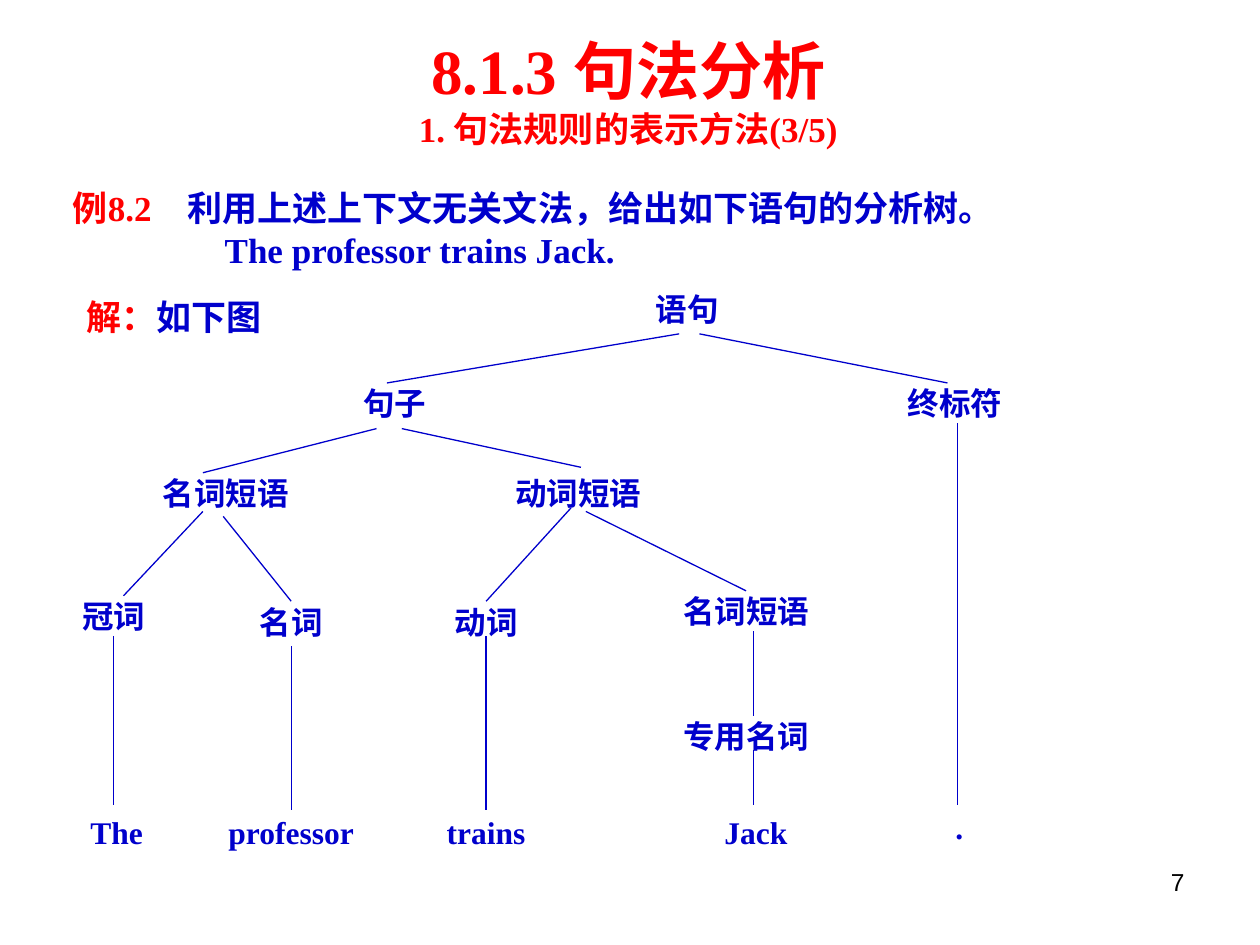
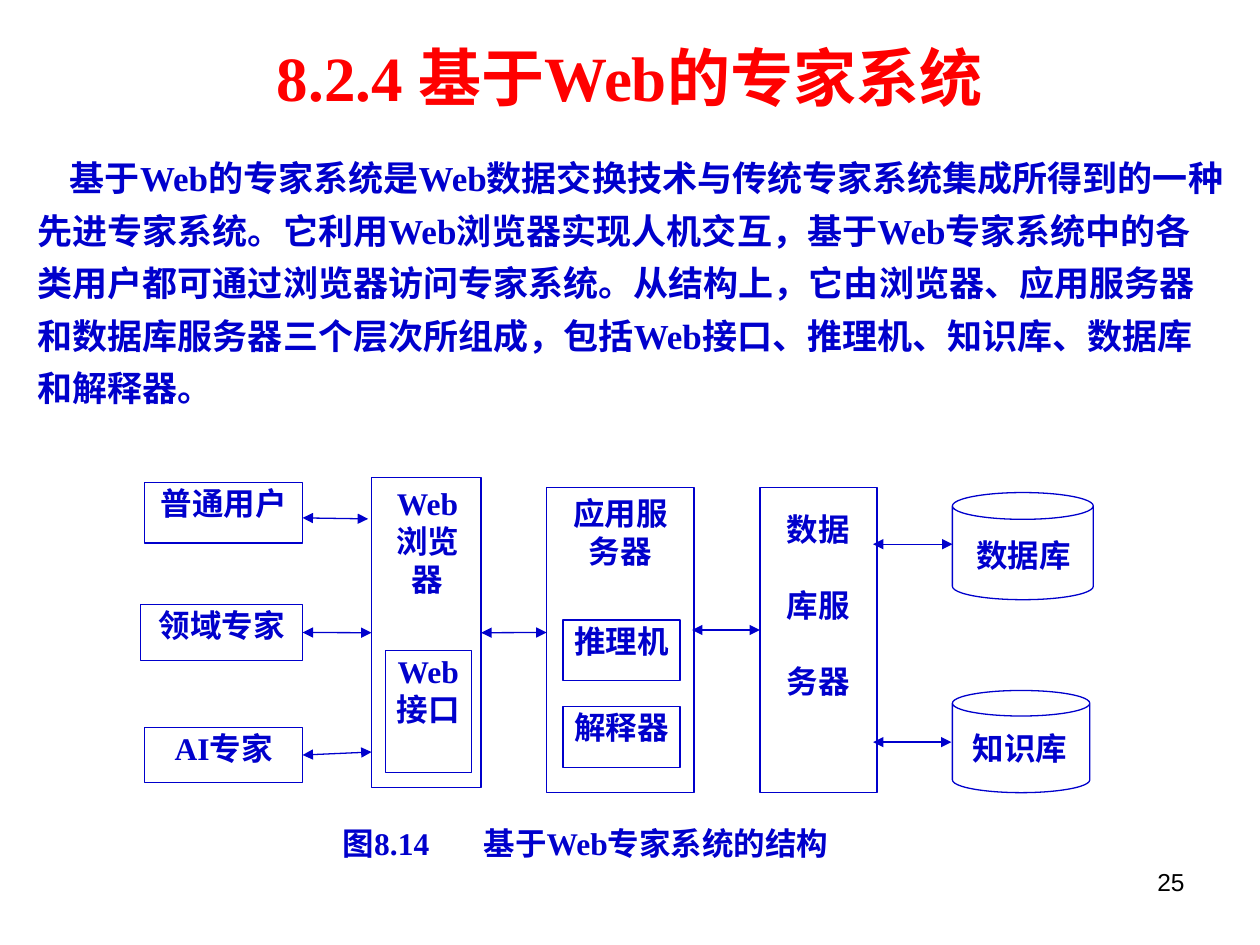
from pptx import Presentation
from pptx.dml.color import RGBColor
from pptx.enum.shapes import MSO_CONNECTOR, MSO_SHAPE
from pptx.enum.text import MSO_ANCHOR, PP_ALIGN
from pptx.oxml.ns import qn
from pptx.util import Cm, Pt
from lxml import etree

RECT, CAN = MSO_SHAPE.RECTANGLE, MSO_SHAPE.CAN
STRAIGHT = MSO_CONNECTOR.STRAIGHT
TOP, MIDDLE = MSO_ANCHOR.TOP, MSO_ANCHOR.MIDDLE
LEFT, CENTER, RIGHT = PP_ALIGN.LEFT, PP_ALIGN.CENTER, PP_ALIGN.RIGHT
JUSTIFY = PP_ALIGN.JUSTIFY

COLORS = {"red": "FF0000", "blue": "0000CC", "black": "000000", "white": "FFFFFF"}
SERIF, SANS = "Times New Roman", "Arial"
WIDE = (0.25, 0.13, 0.25, 0.13)
THIN = (0.05, 0.03, 0.05, 0.03)
NEAR = Cm(0.03)


def color(name):
    return RGBColor.from_string(COLORS[name])


def style(run, size, tint, font=SERIF, bold=True):
    run.font.size = Pt(size)
    run.font.name = font
    run.font.bold = bold
    run.font.color.rgb = color(tint)


def write(shape, words, size=18, tint="blue", align=CENTER, inset=THIN,
          anchor=TOP, font=SERIF, bold=True):
    frame = shape.text_frame
    frame.text = words
    frame.word_wrap = True
    frame.vertical_anchor = anchor
    (frame.margin_left, frame.margin_top,
     frame.margin_right, frame.margin_bottom) = map(Cm, inset)
    for par in frame.paragraphs:
        par.alignment = align
        for run in par.runs:
            style(run, size, tint, font, bold)
    return shape


def label(slide, area, words, **looks):
    return write(slide.shapes.add_textbox(*map(Cm, area)), words, **looks)


def block(slide, area, words="", kind=RECT, edge=True, **looks):
    shape = slide.shapes.add_shape(kind, *map(Cm, area))
    shape.shadow.inherit = False
    shape.fill.solid()
    shape.fill.fore_color.rgb = color("white")
    if edge:
        shape.line.color.rgb = color("blue")
        shape.line.width = Pt(0.75)
    else:
        shape.line.fill.background()
    return write(shape, words, **looks) if words else shape


def sides(box):
    left, top, wide, high = box.left, box.top, box.width, box.height
    return [(left + wide // 2, top), (left, top + high // 2),
            (left + wide // 2, top + high), (left + wide, top + high // 2)]


def link(slide, ends, boxes, arrows=False):
    x1, y1, x2, y2 = map(Cm, ends)
    line = slide.shapes.add_connector(STRAIGHT, x1, y1, x2, y2)
    line.line.color.rgb = color("blue")
    line.line.width = Pt(0.75)
    if arrows:
        stroke = line.element.find(".//" + qn("a:ln"))
        for tip in ("a:headEnd", "a:tailEnd"):
            etree.SubElement(stroke, qn(tip), type="triangle")
    etree.SubElement(line.element.spPr, qn("a:effectLst"))
    for box in boxes:
        for site, (x, y) in enumerate(sides(box)):
            if max(abs(x - x1), abs(y - y1)) <= NEAR:
                line.begin_connect(box, site)
            if max(abs(x - x2), abs(y - y2)) <= NEAR:
                line.end_connect(box, site)


def tab(par, stop):
    tabs = etree.SubElement(par._p.get_or_add_pPr(), qn("a:tabLst"))
    etree.SubElement(tabs, qn("a:tab"), pos=str(Cm(stop)), algn="l")


def extend(par, words, size, tint="blue"):
    run = par.add_run()
    run.text = words
    style(run, size, tint)


def title(slide, area, words):
    return label(slide, area, words, size=36, tint="red", inset=WIDE, anchor=MIDDLE)


def number(slide, value):
    label(slide, (18.21, 17.35, 5.92, 1.32), str(value), size=14, tint="black",
          align=RIGHT, inset=WIDE, font=SANS, bold=False)


def tree(slide):
    widths = {2: 1.9, 3: 2.7, 4: 3.1}
    nodes = [
        ("语句", 13.86, 5.82), ("句子", 7.96, 7.72), ("终标符", 19.25, 7.72),
        ("名词短语", 4.55, 9.53), ("动词短语", 11.66, 9.53),
        ("冠词", 2.29, 12.01), ("名词", 5.87, 12.12), ("动词", 9.8, 12.12),
        ("名词短语", 15.04, 11.91), ("专用名词", 15.04, 14.43),
    ]
    leaves = [
        ("The", 2.35, 16.33, 1.7), ("professor", 5.87, 16.33, 3.71),
        ("trains", 9.8, 16.33, 2.29), ("Jack", 15.24, 16.33, 2.29),
        (".", 19.34, 16.23, 1.3),
    ]
    edges = [
        (13.69, 6.73, 7.8, 7.72), (14.1, 6.73, 19.1, 7.72),
        (8.1, 8.64, 11.71, 9.42), (7.59, 8.64, 4.09, 9.53),
        (4.5, 10.41, 5.87, 12.12), (4.09, 10.31, 2.49, 12.01),
        (11.51, 10.24, 9.8, 12.12), (11.81, 10.31, 15.04, 11.91),
        (2.29, 12.82, 2.29, 16.23), (5.87, 13.03, 5.87, 16.33),
        (9.8, 12.83, 9.8, 16.33), (15.19, 12.73, 15.19, 14.43),
        (15.19, 15.11, 15.19, 16.23), (19.3, 8.53, 19.3, 16.23),
    ]
    boxes = [block(slide, (x - w / 2, y, w, 0.89), word, edge=False,
                   inset=WIDE, anchor=MIDDLE) for word, x, y, w in leaves]
    for word, x, y in nodes:
        w = widths[len(word)]
        boxes.append(label(slide, (x - w / 2, y, w, 0.81), word,
                           inset=(0.15, 0.03, 0.15, 0.03)))
    for ends in edges:
        link(slide, ends, boxes)


def parsing(slide):
    head = title(slide, (0.51, 0.51, 24.31, 2.64),
                 "8.1.3 句法分析\n1. 句法规则的表示方法(3/5)")
    head.text_frame.paragraphs[1].runs[0].font.size = Pt(20)
    task = label(slide, (1.22, 3.63, 23.7, 1.96),
                 "例8.2\t\nThe professor trains Jack.",
                 size=20, align=LEFT, inset=WIDE)
    first, second = task.text_frame.paragraphs
    first.runs[0].font.color.rgb = color("red")
    tab(first, 2.31)
    extend(first, "利用上述上下文无关文法，给出如下语句的分析树。", 20)
    second._p.get_or_add_pPr().set("marL", str(Cm(3.06)))
    reply = label(slide, (1.5, 5.82, 4.39, 1.12), "解：", size=20, tint="red",
                  align=LEFT, inset=WIDE)
    extend(reply.text_frame.paragraphs[0], "如下图", 20)
    tree(slide)
    number(slide, 7)


def layers(slide):
    users = [((2.92, 9.73, 3.18, 1.22), "普通用户"),
             ((2.84, 12.19, 3.26, 1.12), "领域专家"),
             ((2.92, 14.66, 3.18, 1.12), "AI专家")]
    parts = [((7.77, 13.11, 1.73, 2.46), "Web接口"),
             ((11.35, 12.5, 2.36, 1.22), "推理机"),
             ((11.35, 14.25, 2.36, 1.22), "解释器")]
    stores = [((19.2, 9.93, 2.84, 2.16), (19.53, 10.77, 2.21, 1.02), "数据库"),
              ((19.2, 13.92, 2.77, 2.06), (19.46, 14.66, 2.21, 1.12), "知识库")]
    arrows = [
        (6.1, 10.44, 7.42, 10.46), (6.1, 12.75, 7.49, 12.75),
        (7.49, 15.16, 6.1, 15.22), (9.7, 12.75, 11.02, 12.75),
        (15.32, 12.7, 13.95, 12.7), (17.6, 10.97, 19.2, 10.97),
        (19.18, 14.96, 17.6, 14.96),
    ]
    boxes = [block(slide, area, word) for area, word in users]
    boxes.append(block(slide, (7.49, 9.63, 2.21, 6.25), "Web\n浏览\n器",
                       inset=(0.15, 0.13, 0.1, 0.1)))
    boxes.append(block(slide, (11.02, 9.83, 2.97, 6.15), "应用服\n务器",
                       inset=(0.05, 0.13, 0.05, 0.13)))
    data = block(slide, (15.32, 9.83, 2.36, 6.15), "数据\n库服\n务器",
                 inset=(0.05, 0.46, 0.05, 0.03))
    for par in data.text_frame.paragraphs[1:]:
        par.space_before = Pt(21.6)
    boxes.append(data)
    boxes += [block(slide, area, word) for area, word in parts]
    for body, spot, word in stores:
        block(slide, body, kind=CAN)
        block(slide, spot, word, edge=False, inset=(0, 0.03, 0, 0.03))
    for ends in arrows:
        link(slide, ends, boxes, arrows=True)


def web(slide):
    head = title(slide, (0.69, 0.81, 24, 1.63), "8.2.4 基于Web的专家系统")
    head.text_frame.paragraphs[0].line_spacing = 0.9
    intro = label(
        slide, (0.51, 2.82, 24.41, 5.56),
        "基于Web的专家系统是Web数据交换技术与传统专家系统集成所得到的一种先进专家系统。"
        "它利用Web浏览器实现人机交互，基于Web专家系统中的各类用户都可通过浏览器访问专家系统。"
        "从结构上，它由浏览器、应用服务器和数据库服务器三个层次所组成，"
        "包括Web接口、推理机、知识库、数据库和解释器。",
        size=20, align=LEFT, inset=WIDE)
    par = intro.text_frame.paragraphs[0]
    par.line_spacing = 1.25
    par._p.get_or_add_pPr().set("indent", str(Cm(0.65)))
    layers(slide)
    note = block(slide, (6.86, 16.59, 11.71, 1.12),
                 "图8.14\t基于Web专家系统的结构", edge=False, align=JUSTIFY)
    tab(note.text_frame.paragraphs[0], 2.84)
    number(slide, 25)


def main():
    deck = Presentation()
    deck.slide_width, deck.slide_height = Cm(25.4), Cm(19.05)
    for build in (parsing, web):
        build(deck.slides.add_slide(deck.slide_layouts[6]))
    deck.save("out.pptx")


if __name__ == "__main__":
    main()
